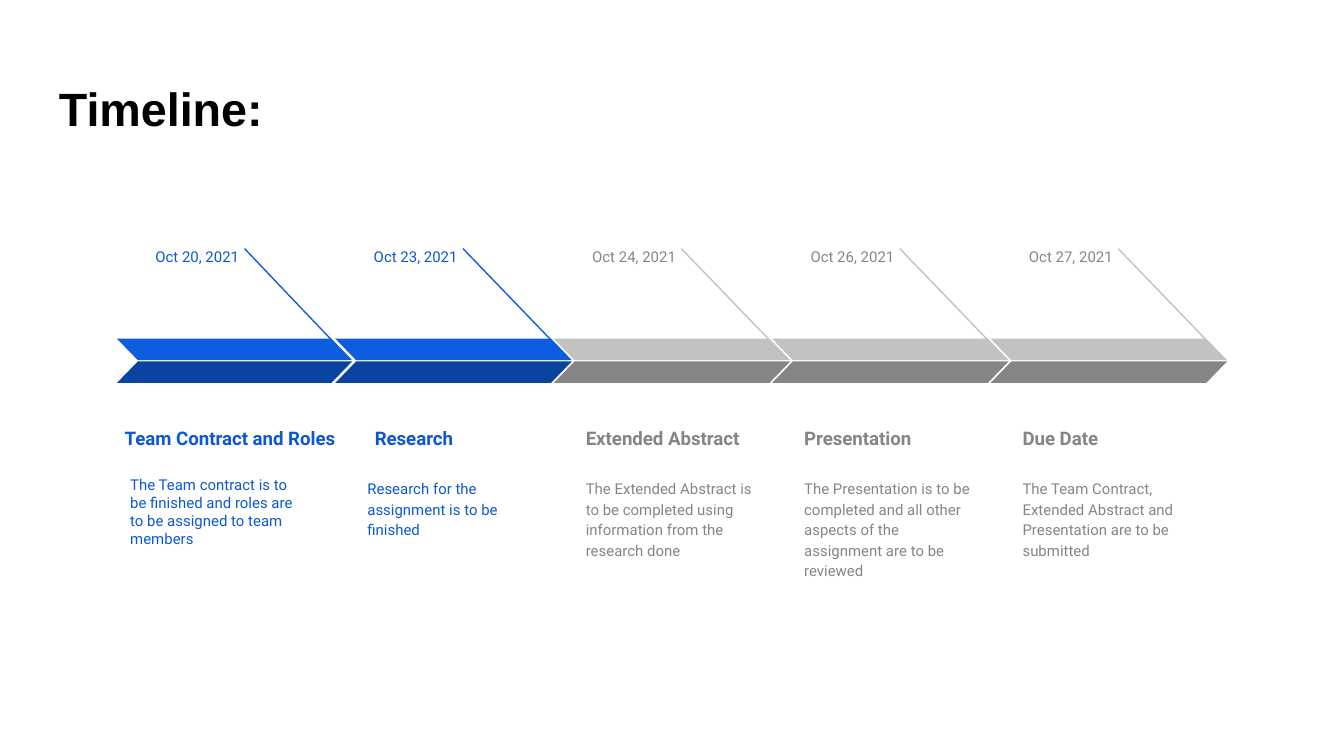
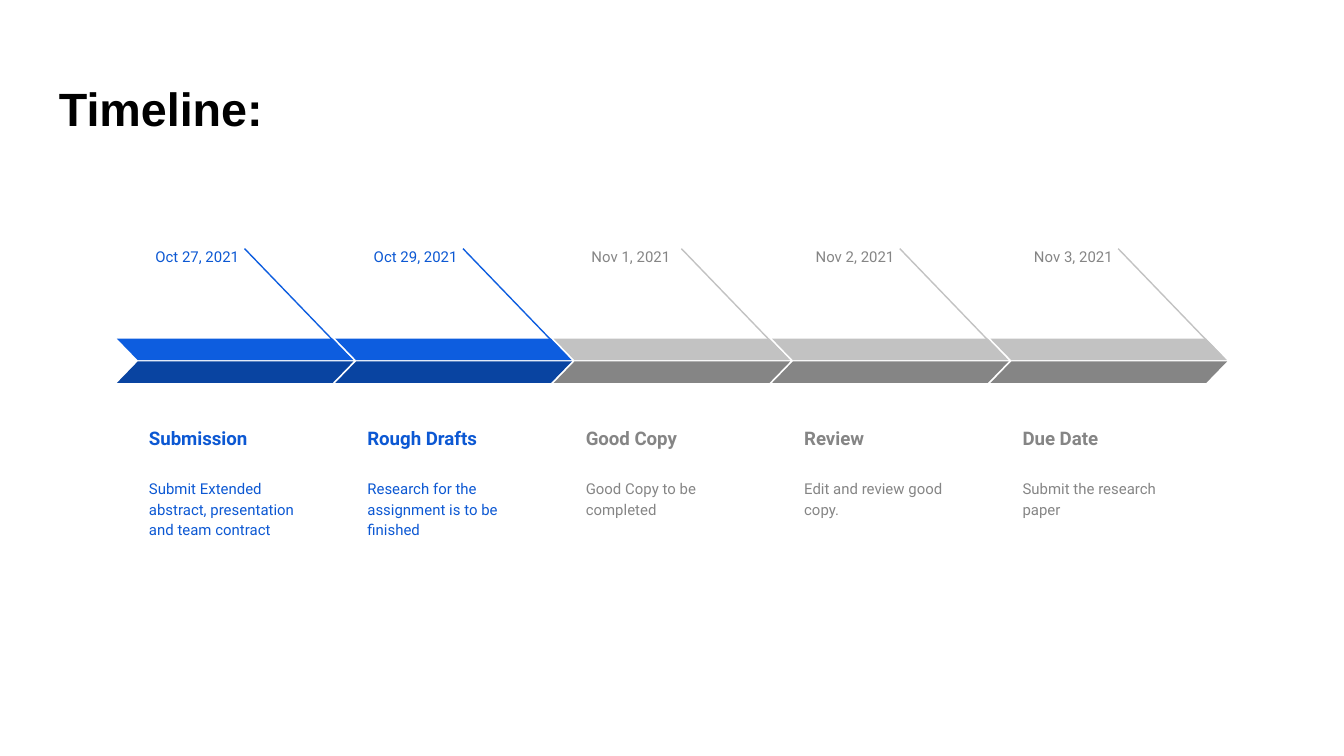
"""Build two timeline slides of five dated stages each."""
from dataclasses import dataclass
from typing import Optional

from lxml import etree
from pptx import Presentation
from pptx.dml.color import RGBColor
from pptx.enum.shapes import MSO_CONNECTOR, MSO_SHAPE
from pptx.enum.text import MSO_ANCHOR, MSO_AUTO_SIZE, PP_ALIGN
from pptx.oxml.ns import qn
from pptx.util import Inches, Pt

STRAIGHT = MSO_CONNECTOR.STRAIGHT
PARALLELOGRAM = MSO_SHAPE.PARALLELOGRAM
FIXED_SIZE = MSO_AUTO_SIZE.NONE
TOP, MIDDLE, BOTTOM = MSO_ANCHOR.TOP, MSO_ANCHOR.MIDDLE, MSO_ANCHOR.BOTTOM
LEFT, CENTER, RIGHT = PP_ALIGN.LEFT, PP_ALIGN.CENTER, PP_ALIGN.RIGHT

COLORS = {
    "background": "FFFFFF",
    "title": "000000",
    "done_upper": "0D5DDF",
    "done_lower": "0944A1",
    "done_text": "0C58D3",
    "next_upper": "C2C2C2",
    "next_lower": "858585",
    "next_text": "858585",
}
FIRST_LEFT = 0.87
STAGE_PITCH = 6.5 / 4
TEXT_INDENT = 0.14
DONE_COUNT = 2


@dataclass
class Stage:
    """Texts of one stage, with any departures from the regular grid."""
    date: str
    heading: str
    details: str
    band_width: float = 1.76
    date_align: PP_ALIGN = RIGHT
    heading_box: Optional[tuple] = None
    details_box: Optional[tuple] = None
    details_spacing: float = 1.15


TIMELINES = [
    [
        Stage("Oct 20, 2021", "Team Contract and Roles",
              "The Team contract is to be finished and roles are to be assigned to team members",
              band_width=1.75, heading_box=(0.83, 3.05, 1.83, 0.39),
              details_box=(0.87, 3.44, 1.51, 0.81), details_spacing=1.0),
        Stage("Oct 23, 2021", "Research", "Research for the assignment is to be finished",
              heading_box=(2.69, 2.95, 1.38, 0.49)),
        Stage("Oct 24, 2021", "Extended Abstract",
              "The Extended Abstract is to be completed using information from the research done"),
        Stage("Oct 26, 2021", "Presentation",
              "The Presentation is to be completed and all other aspects of the assignment "
              "are to be reviewed"),
        Stage("Oct 27, 2021", "Due Date",
              "The Team Contract, Extended Abstract and Presentation are to be submitted"),
    ],
    [
        Stage("Oct 27, 2021", "Submission",
              "Submit Extended abstract, presentation and team contract"),
        Stage("Oct 29, 2021", "Rough Drafts", "Research for the assignment is to be finished"),
        Stage("Nov 1, 2021", "Good Copy", "Good Copy to be completed", date_align=CENTER),
        Stage("Nov 2, 2021", "Review", "Edit and review good copy."),
        Stage("Nov 3, 2021", "Due Date", "Submit the research paper"),
    ],
]


class TimelineDeck:
    """Holds the presentation style and the current slide."""

    def __init__(self):
        self.presentation = Presentation()
        self.presentation.slide_width = Inches(10)
        self.presentation.slide_height = Inches(10 * 9 / 16)
        self.slide = None

    def color(self, name):
        return RGBColor.from_string(COLORS[name])

    def add_slide(self, title):
        self.slide = self.presentation.slides.add_slide(self.presentation.slide_layouts[6])
        fill = self.slide.background.fill
        fill.solid()
        fill.fore_color.rgb = self.color("background")
        self.add_text((0.34, 0.49, 9.32, 0.63), title, "title", 25, font="Arial",
                      bold=True, anchor=MIDDLE, spacing=1.0)

    def add_text(self, box, text, color, size, font="Roboto", bold=False,
                 align=LEFT, anchor=TOP, spacing=1.15):
        shape = self.slide.shapes.add_textbox(*map(Inches, box))
        frame = shape.text_frame
        frame.text = text
        frame.word_wrap = True
        frame.auto_size = FIXED_SIZE
        frame.vertical_anchor = anchor
        frame.margin_left = frame.margin_right = Inches(0.1)
        frame.margin_top = frame.margin_bottom = Inches(0.1)
        paragraph = frame.paragraphs[0]
        paragraph.alignment = align
        paragraph.line_spacing = spacing
        run_font = paragraph.runs[0].font
        run_font.name = font
        run_font.size = Pt(size)
        run_font.bold = bold
        run_font.color.rgb = self.color(color)

    def add_pointer(self, start, end, color):
        connector = self.slide.shapes.add_connector(STRAIGHT, *map(Inches, start + end))
        connector.line.color.rgb = self.color(color)
        connector.line.width = Pt(0.75)
        etree.SubElement(connector._element.spPr, qn("a:effectLst"))

    def add_band(self, left, top, width, color, flipped=False):
        shape = self.slide.shapes.add_shape(
            PARALLELOGRAM, Inches(left), Inches(top), Inches(width), Inches(0.16))
        shape.adjustments[0] = 0.97
        shape.shadow.inherit = False
        shape.fill.solid()
        shape.fill.fore_color.rgb = self.color(color)
        shape.line.fill.background()
        if flipped:
            shape._element.spPr.find(qn("a:xfrm")).set("flipH", "1")

    def add_stage(self, index, stage):
        left = FIRST_LEFT + index * STAGE_PITCH
        text_left = left + TEXT_INDENT
        state = "done" if index < DONE_COUNT else "next"
        text_color = f"{state}_text"
        self.add_pointer((left + 0.95, 1.85), (left + stage.band_width - 0.02, 2.67),
                         f"{state}_upper")
        self.add_band(left, 2.52, stage.band_width, f"{state}_upper", flipped=True)
        self.add_band(left, 2.69, stage.band_width, f"{state}_lower")
        self.add_text(stage.heading_box or (text_left, 2.95, 1.45, 0.49), stage.heading,
                      text_color, 10, bold=True, anchor=BOTTOM)
        self.add_text(stage.details_box or (text_left, 3.45, 1.45, 0.81), stage.details,
                      text_color, 8, spacing=stage.details_spacing)
        self.add_text((text_left, 1.72, 0.87, 0.26), stage.date, text_color, 8,
                      align=stage.date_align)


def main():
    deck = TimelineDeck()
    for stages in TIMELINES:
        deck.add_slide("Timeline:")
        for index, stage in enumerate(stages):
            deck.add_stage(index, stage)
    deck.presentation.save("out.pptx")


if __name__ == "__main__":
    main()
